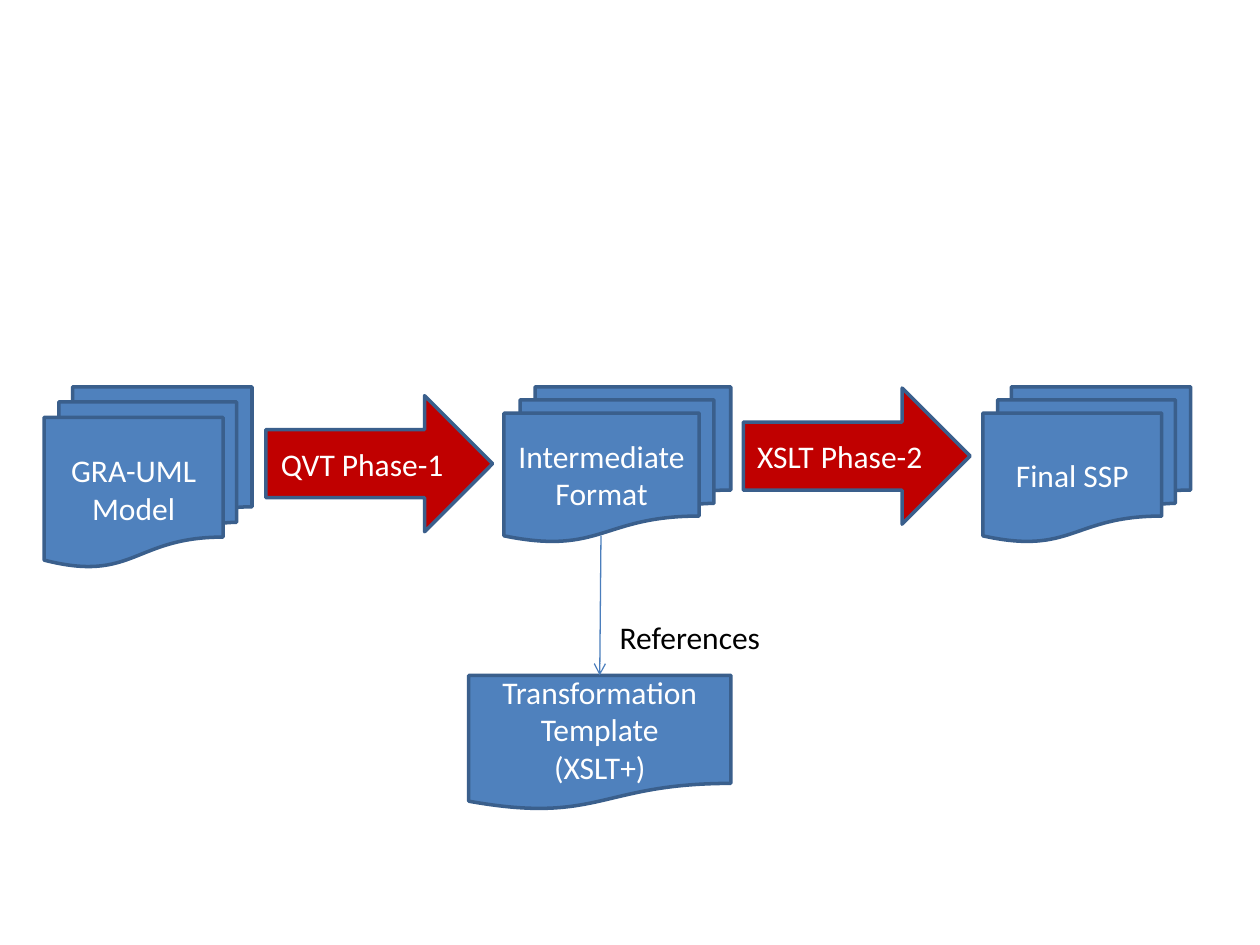
from lxml import etree
from pptx import Presentation
from pptx.dml.color import RGBColor
from pptx.enum import shapes, text
from pptx.oxml import ns
from pptx.util import Inches, Pt

BLUE, RED, OUTLINE = "4F81BD", "C00000", "3A5F8C"
WHITE, BLACK, LINK = "FFFFFF", "000000", "4B7EBC"
DOCUMENTS = shapes.MSO_SHAPE.FLOWCHART_MULTIDOCUMENT
DOCUMENT = shapes.MSO_SHAPE.FLOWCHART_DOCUMENT
ARROW = shapes.MSO_SHAPE.RIGHT_ARROW
TOP = 3.07


def color(value):
    return RGBColor.from_string(value)


def write(frame, lines, ink, align):
    for index, line in enumerate(lines):
        para = frame.paragraphs[0] if index == 0 else frame.add_paragraph()
        para.alignment = align
        span = para.add_run()
        span.text = line
        span.font.name = "Calibri"
        span.font.size = Pt(18)
        span.font.color.rgb = color(ink)


def add_step(page, kind, place, lines, fill):
    shape = page.shapes.add_shape(kind, *map(Inches, place))
    shape.shadow.inherit = False
    shape.fill.solid()
    shape.fill.fore_color.rgb = color(fill)
    shape.line.color.rgb = color(OUTLINE)
    shape.line.width = Pt(2)
    shape.text_frame.word_wrap = True
    shape.text_frame.vertical_anchor = text.MSO_ANCHOR.MIDDLE
    write(shape.text_frame, lines, WHITE, text.PP_ALIGN.CENTER)


def add_link(page, start, end):
    link = page.shapes.add_connector(
        shapes.MSO_CONNECTOR.STRAIGHT, *map(Inches, start + end))
    link.line.color.rgb = color(LINK)
    link.line.width = Pt(0.75)
    # Open arrowhead at the end, no shadow
    etree.SubElement(link.line._get_or_add_ln(), ns.qn("a:tailEnd"), type="arrow")
    etree.SubElement(link._element.spPr, ns.qn("a:effectLst"))


def add_label(page, place, label):
    box = page.shapes.add_textbox(*map(Inches, place))
    box.text_frame.word_wrap = False
    box.text_frame.auto_size = text.MSO_AUTO_SIZE.SHAPE_TO_FIT_TEXT
    write(box.text_frame, [label], BLACK, text.PP_ALIGN.LEFT)


def main():
    deck = Presentation()
    deck.slide_width, deck.slide_height = Inches(10), Inches(7.5)
    page = deck.slides.add_slide(deck.slide_layouts[6])

    # Documents along the pipeline
    for left, width, height, label in (
        (0.35, 1.65, 1.43, "GRA-UML Model"),
        (4, 1.8, 1.23, "Intermediate Format"),
        (7.8, 1.65, 1.23, "Final SSP"),
    ):
        add_step(page, DOCUMENTS, (left, TOP, width, height), [label], BLUE)

    # Template that the intermediate format refers to
    add_step(page, DOCUMENT, (3.72, 5.36, 2.08, 1.07),
             ["Transformation Template", "(XSLT+)"], BLUE)

    # Transformation phases
    for left, top, label in ((2.11, 3.14, "QVT Phase-1"),
                             (5.9, 3.08, "XSLT Phase-2")):
        add_step(page, ARROW, (left, top, 1.8, 1.08), [label], RED)

    # Reference to the template
    add_link(page, (4.77, 4.25), (4.76, 5.36))
    add_label(page, (4.82, 4.86, 1.33, 0.4), "References")

    deck.save("out.pptx")


if __name__ == "__main__":
    main()
